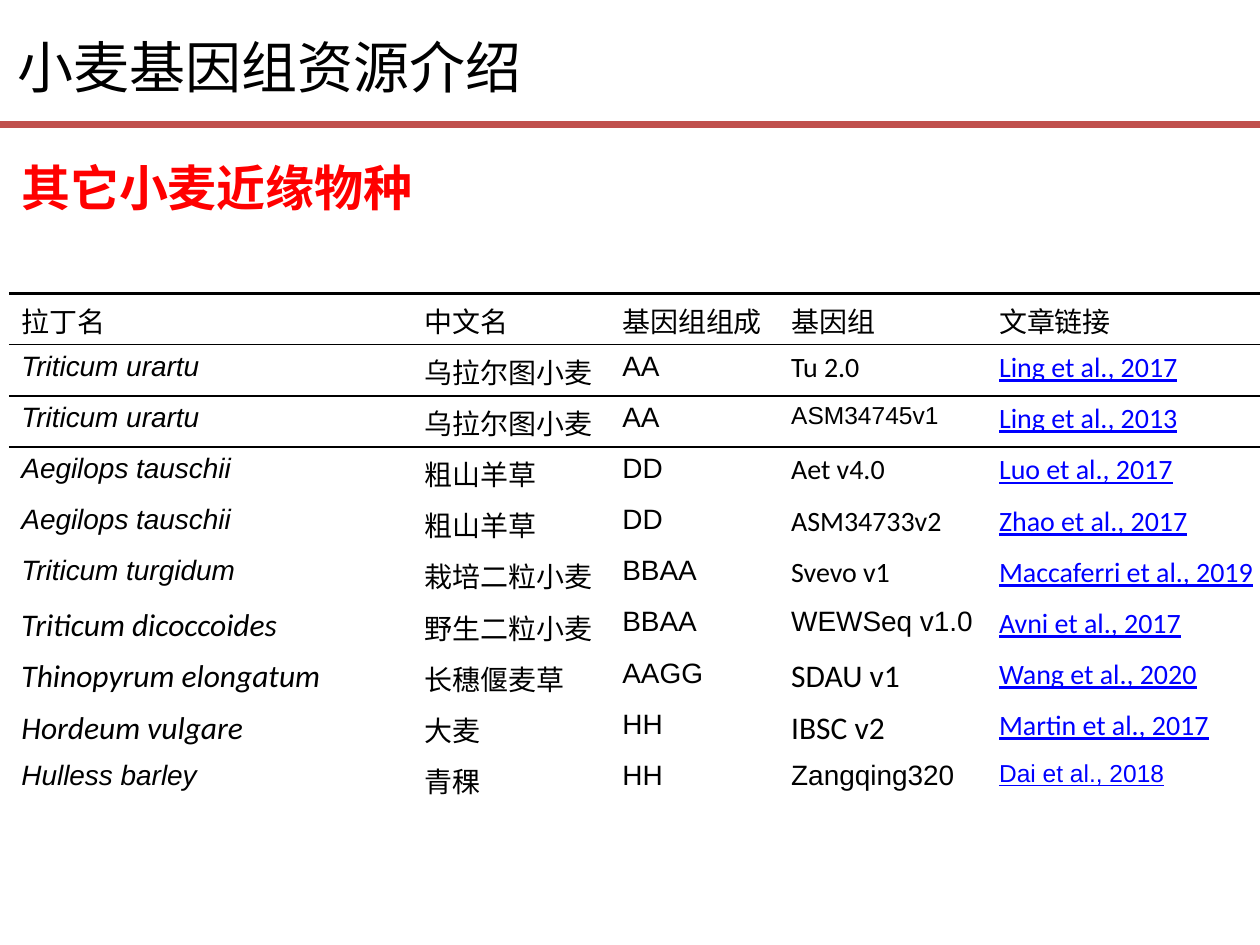
from typing import NamedTuple

from lxml import etree
from pptx import Presentation
from pptx import util as u
from pptx.dml.color import RGBColor
from pptx.enum import shapes, text
from pptx.oxml import ns

BLACK = RGBColor(0, 0, 0)
RED = RGBColor(0xFF, 0, 0)
BLUE = RGBColor(0, 0, 0xFF)
BRICK = RGBColor(0xC0, 0x50, 0x4D)
CJK = "Noto Sans CJK SC"
NO_GRID = "{2D5ABB26-0587-4C30-8999-92F81FD0307C}"


class Face(NamedTuple):
    font: str = "Arial"
    size: int = 16


ARIAL = Face()
SMALL = Face(size=14)
CALI = Face("Calibri")
LARGE = Face("Calibri", 18)


class Wheat(NamedTuple):
    latin: str
    name: str
    genes: str
    build: str
    paper: str
    faces: tuple  # latin name, build, paper


HEADS = ["拉丁名", "中文名", "基因组组成", "基因组", "文章链接"]
WIDTHS = [3.2, 1.57, 1.34, 1.65, 4.72]
ROWS = [
    Wheat("Triticum urartu", "乌拉尔图小麦", "AA", "Tu 2.0",
          "Ling et al., 2017", (ARIAL, CALI, CALI)),
    Wheat("Triticum urartu", "乌拉尔图小麦", "AA", "ASM34745v1",
          "Ling et al., 2013", (ARIAL, SMALL, CALI)),
    Wheat("Aegilops tauschii", "粗山羊草", "DD", "Aet v4.0",
          "Luo et al., 2017", (ARIAL, CALI, CALI)),
    Wheat("Aegilops tauschii", "粗山羊草", "DD", "ASM34733v2",
          "Zhao et al., 2017", (ARIAL, CALI, CALI)),
    Wheat("Triticum turgidum", "栽培二粒小麦", "BBAA", "Svevo v1",
          "Maccaferri et al., 2019", (ARIAL, CALI, CALI)),
    Wheat("Triticum dicoccoides", "野生二粒小麦", "BBAA", "WEWSeq v1.0",
          "Avni et al., 2017", (LARGE, ARIAL, CALI)),
    Wheat("Thinopyrum elongatum", "长穗偃麦草", "AAGG", "SDAU v1",
          "Wang et al., 2020", (LARGE, LARGE, CALI)),
    Wheat("Hordeum vulgare", "大麦", "HH", "IBSC v2",
          "Martin et al., 2017", (LARGE, LARGE, CALI)),
    Wheat("Hulless barley", "青稞", "HH", "Zangqing320",
          "Dai et al., 2018", (ARIAL, ARIAL, SMALL)),
]


def add_run(para, words: str, face: Face, color: RGBColor = BLACK,
            bold: bool = False, slant: bool = False, under: bool = False) -> None:
    run = para.add_run()
    run.text = words
    font = run.font
    font.name, font.size = face.font, u.Pt(face.size)
    font.color.rgb = color
    font.bold, font.italic, font.underline = bold, slant, under
    asian = etree.Element(ns.qn("a:ea"), typeface=CJK)
    run._r.get_or_add_rPr().find(ns.qn("a:latin")).addnext(asian)


def add_edge(cell, side: str, width: float) -> None:
    props = cell._tc.get_or_add_tcPr()
    line = etree.SubElement(props, ns.qn(f"a:ln{side}"), w=str(u.Pt(width)))
    fill = etree.SubElement(line, ns.qn("a:solidFill"))
    etree.SubElement(fill, ns.qn("a:srgbClr"), val=str(BLACK))


def add_rule(slide) -> None:
    rule = slide.shapes.add_connector(
        shapes.MSO_CONNECTOR.STRAIGHT, 0, u.Inches(0.99), u.Inches(10), u.Inches(0.99))
    rule.line.color.rgb = BRICK
    rule.line.width = u.Pt(4)
    etree.SubElement(rule._element.spPr, ns.qn("a:effectLst"))


def add_title(slide, words: str) -> None:
    title = slide.shapes.title
    title.left, title.top = u.Inches(0.04), u.Inches(0.21)
    title.width, title.height = u.Inches(9.96), u.Inches(0.99)
    frame = title.text_frame
    frame.vertical_anchor = text.MSO_ANCHOR.TOP
    para = frame.paragraphs[0]
    para.alignment = text.PP_ALIGN.LEFT
    add_run(para, words, Face(CJK, 32))


def add_label(slide, words: str) -> None:
    box = slide.shapes.add_textbox(
        u.Inches(0.07), u.Inches(1.2), u.Inches(4.8), u.Inches(0.57))
    box.text_frame.word_wrap = True
    add_run(box.text_frame.paragraphs[0], words, Face("Calibri", 28), RED, bold=True)


def add_grid(slide) -> None:
    table = slide.shapes.add_table(
        len(ROWS) + 1, len(HEADS), u.Inches(0.07), u.Inches(2.33),
        u.Inches(sum(WIDTHS)), u.Inches(4.06)).table
    table.first_row = table.horz_banding = False
    table._tbl.tblPr.find(ns.qn("a:tableStyleId")).text = NO_GRID
    for col, width in zip(table.columns, WIDTHS):
        col.width = u.Inches(width)

    # Header words
    for cell, head in zip(table.rows[0].cells, HEADS):
        add_run(cell.text_frame.paragraphs[0], head, ARIAL)

    # One row per genome
    for r, wheat in enumerate(ROWS, 1):
        latin, build, paper = wheat.faces
        faces = [latin, ARIAL, ARIAL, build, paper]
        for c, face in enumerate(faces):
            link = c == 4
            add_run(table.cell(r, c).text_frame.paragraphs[0], wheat[c], face,
                    BLUE if link else BLACK, slant=c == 0, under=link)

    # Heavy top edge, thin lines under the first two rows
    edges = {0: [("T", 2.25), ("B", 1)], 1: [("T", 1), ("B", 1)], 2: [("T", 1)]}
    for r, row in enumerate(table.rows):
        for cell in row.cells:
            for side, width in edges.get(r, []):
                add_edge(cell, side, width)
            cell.fill.background()


def main() -> None:
    deck = Presentation()
    deck.slide_width, deck.slide_height = u.Inches(10), u.Inches(7.5)
    slide = deck.slides.add_slide(deck.slide_layouts[5])
    add_rule(slide)
    add_title(slide, "小麦基因组资源介绍")
    add_label(slide, "其它小麦近缘物种")
    add_grid(slide)
    deck.save("out.pptx")


if __name__ == "__main__":
    main()
